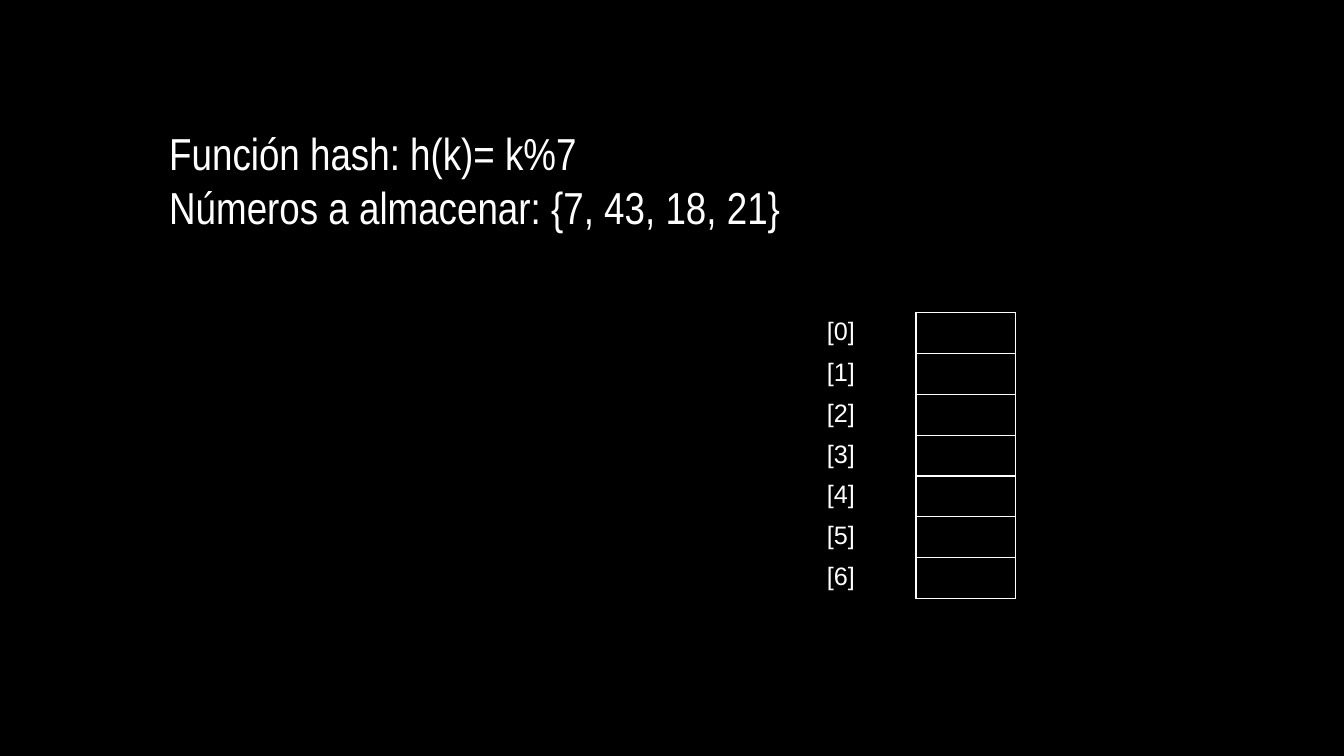
from lxml import etree
from pptx import Presentation
from pptx import util as u
from pptx.dml.color import RGBColor
from pptx.oxml import ns

BLACK, WHITE = "000000", "FFFFFF"
PLAIN_TABLE_STYLE = "{2D5ABB26-0587-4C30-8999-92F81FD0307C}"
EXERCISE = ["Función hash: h(k)= k%7", "Números a almacenar: {7, 43, 18, 21}"]
BUCKET_COUNT = 7


def color(hex_value):
    return RGBColor.from_string(hex_value)


def style_paragraph(paragraph, font_name, size):
    for run in paragraph.runs:
        run.font.name = font_name
        run.font.size = u.Pt(size)
        run.font.color.rgb = color(WHITE)


def add_border(cell, sides):
    """Draw a 1 pt white line on each given side (L, R, T, B)."""
    properties = cell._tc.get_or_add_tcPr()
    for side in sides:
        line = etree.SubElement(properties, ns.qn(f"a:ln{side}"), w=str(u.Pt(1)))
        fill = etree.SubElement(line, ns.qn("a:solidFill"))
        etree.SubElement(fill, ns.qn("a:srgbClr"), val=WHITE)


def add_exercise(slide, left, top, width, height):
    """Hash function and the numbers to store."""
    box = slide.shapes.add_textbox(*map(u.Inches, (left, top, width, height)))
    frame = box.text_frame
    frame.word_wrap = True
    frame.text = "\n".join(EXERCISE)
    for paragraph in frame.paragraphs:
        style_paragraph(paragraph, "Arial Narrow", 32)


def add_hash_table(slide, left, top, width, height):
    """Index labels on the left, empty bordered buckets on the right."""
    frame = slide.shapes.add_table(
        BUCKET_COUNT, 2, *map(u.Inches, (left, top, width, height)))
    table = frame.table
    table.first_row = table.horz_banding = False
    table._tbl.tblPr.find(ns.qn("a:tableStyleId")).text = PLAIN_TABLE_STYLE

    for index, row in enumerate(table.rows):
        label, bucket = row.cells
        label.text = f"[{index}]"
        style_paragraph(label.text_frame.paragraphs[0], "Arial", 18)
        add_border(label, "R")
        add_border(bucket, "LRTB")
        for cell in (label, bucket):
            cell.fill.background()


def main():
    presentation = Presentation()
    presentation.slide_width = u.Inches(13.33)
    presentation.slide_height = u.Inches(7.5)
    slide = presentation.slides.add_slide(presentation.slide_layouts[6])
    slide.background.fill.solid()
    slide.background.fill.fore_color.rgb = color(BLACK)

    add_hash_table(slide, 8.1, 3.1, 1.97, 2.84)
    add_exercise(slide, 1.58, 1.2, 6.52, 1.18)
    presentation.save("out.pptx")


if __name__ == "__main__":
    main()
